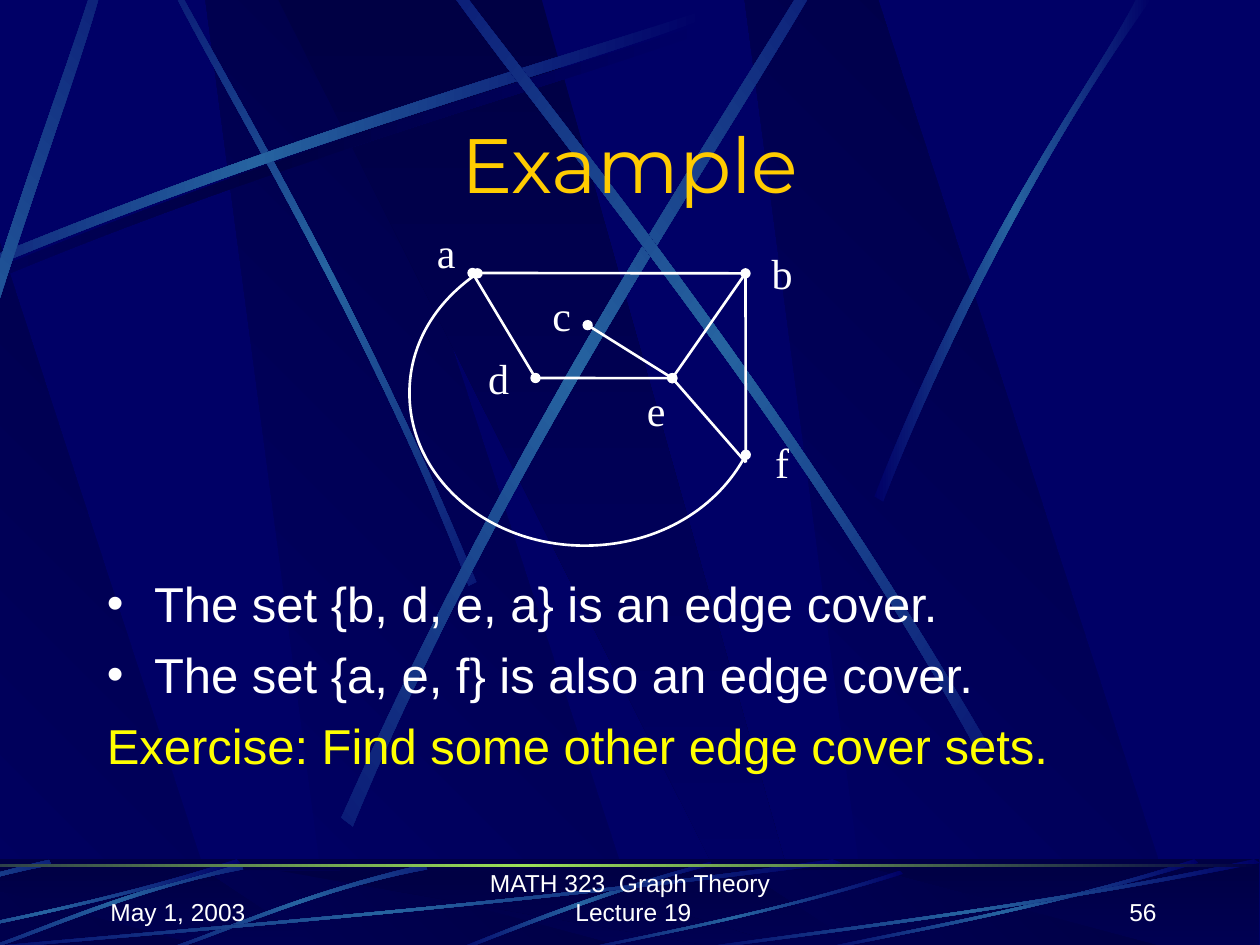
from copy import deepcopy
from math import cos, radians, sin

from pptx import Presentation
from pptx.dml.color import RGBColor
from pptx.enum.shapes import MSO_CONNECTOR, MSO_SHAPE
from pptx.enum.text import MSO_ANCHOR, PP_ALIGN
from pptx.oxml.ns import qn
from pptx.oxml.xmlchemy import OxmlElement
from pptx.util import Pt

NAVY = RGBColor(0x00, 0x00, 0x66)
MIDNIGHT = RGBColor(0x00, 0x00, 0x44)
STEEL = RGBColor(0x26, 0x63, 0xA0)
LIME = RGBColor(0x9C, 0xE1, 0x57)
WHITE = RGBColor(0xFF, 0xFF, 0xFF)
YELLOW = RGBColor(0xFF, 0xFF, 0x00)
GOLD = RGBColor(0xFF, 0xCC, 0x00)

BAND = [(72, 1), (253.4, 1), (76.3, 0), (0, 0)]
WIDE_BAND = [(0, 0), (272.9, 1), (303.8, 1), (150.5, 0)]
BAND_LEFTS = [117.4, -121.7, 425.5]
WIDE_BAND_LEFT = 159.1

LONG_STREAK = [(-109.4, 192.2), (112.3, 90), (313.9, 36), (400.3, 6.5),
               (402.5, 10.8), (318.2, 43.2), (87.1, 102.2), (-107.3, 199.4)]
STREAKS = [
    (45, [(272.2, 332.6), (205.9, 171.4), (127.4, 42.5), (97.2, -15.1),
          (94.3, -14.4), (122.4, 43.9), (213.1, 190.1), (267.8, 334.8)]),
    (0, LONG_STREAK),
    (312, [(-79.2, 460.1), (-40.3, 239), (29.5, 68.4), (53.3, -9.4),
           (58.3, -7.9), (37.4, 71.3), (-43.9, 265), (-72, 464.4)]),
    (321, [(195.1, 467.3), (298.8, 234), (421.2, 56.9), (468.7, -24.5),
           (473.8, -22.3), (429.1, 60.5), (288, 261.4), (201.6, 472.3)]),
    (35, [(564.5, 425.5), (441.4, 213.8), (307.4, 54), (253.4, -19.4),
          (249.1, -16.6), (300.2, 58.3), (455, 239), (558.7, 429.8)]),
    (0, [(499.7, 283.7), (563, 124.6), (625.7, 46.8), (649.4, -0.7),
         (658.1, -0.7), (581.8, 104.4), (525.6, 231.8), (504.7, 286.6)]),
]
FOOTER_STREAK = [(406.1, 492.5), (329.8, 512.6), (280.1, 535.7), (255.6, 544.3),
                 (259.2, 545), (290.2, 532.8), (359.3, 505.4), (406.8, 494.6)]
SHORT_STREAK = [(242.6, 493.9), (175.7, 509), (125.3, 532.1), (101.5, 540),
                (102.2, 541.4), (126, 534.2), (183.6, 507.6), (244.1, 496.8)]
SHORT_SHIFTS = [(0, 0), (-105.1, 0), (-214.6, -2.5)]
SWOOP = [(1, 0.04), (0.57, 0.57), (0.17, 0.85), (0, 1),
         (0, 0.98), (0.17, 0.81), (0.62, 0.51), (0.99, 0)]
SWOOP_BOXES = [(-37.4, 491, 518.4, 54), (-86.4, 491, 224, 54),
               (321.8, 497.5, 194.4, 48.2), (460.8, 491, 224, 54),
               (383.8, 491, 336.2, 54)]

NODES = {"a": (270, 156), "b": (426, 156.2), "c": (335.8, 185.8),
         "d": (306, 216), "e": (384.2, 216.1), "f": (426.2, 264.2)}
EDGES = [("a", "b", True), ("b", "f", False), ("b", "e", False),
         ("e", "f", False), ("e", "d", True), ("d", "a", False), ("e", "c", True)]
ARC = [(272.9, 156.2), (248.4, 172.8), (234, 198), (234, 224.6),
       (234, 272.9), (278.6, 311.8), (334.1, 311.8),
       (373.7, 311.8), (409.7, 291.6), (426.2, 259.9)]
LABELS = {"c": (306, 162), "d": (270, 198), "a": (240, 126),
          "b": (432, 138), "f": (432, 246), "e": (360, 216)}


def fit(points, left, top, width, height):
    return [(left + x * width, top + y * height) for x, y in points]


def turn(x, y, degrees):
    angle = radians(degrees)
    return x * cos(angle) - y * sin(angle), x * sin(angle) + y * cos(angle)


def set_gradient(shape, colours, angle=0):
    shape.shadow.inherit = False
    shape.line.fill.background()
    shape.fill.gradient()
    shape.fill.gradient_angle = angle
    stop_list = shape._element.spPr.find(qn("a:gradFill")).find(qn("a:gsLst"))
    while len(stop_list) < len(colours):
        stop_list.append(deepcopy(stop_list[-1]))
    for index, (stop, colour) in enumerate(zip(shape.fill.gradient_stops, colours)):
        stop.position = index / (len(colours) - 1)
        stop.color.rgb = colour


def add_outline(page, points, closed=True, curve_starts=()):
    corners = [(Pt(x), Pt(y)) for x, y in points]
    builder = page.shapes.build_freeform(*corners[0])
    builder.add_line_segments(corners[1:], close=closed)
    shape = builder.convert_to_shape()
    shape.shadow.inherit = False
    segments = list(shape._element.spPr.iter(qn("a:lnTo")))
    for start in curve_starts:
        curve = OxmlElement("a:cubicBezTo")
        segments[start].addprevious(curve)
        for segment in segments[start:start + 3]:
            curve.append(segment[0])
            segment.getparent().remove(segment)
    return shape


def add_streak(page, controls, rotation=0, shift=(0, 0), glow=STEEL):
    points = [turn(x + shift[0], y + shift[1], -rotation) for x, y in controls]
    shape = add_outline(page, points, curve_starts=(0, 4))
    centre = turn(shape.left + shape.width / 2, shape.top + shape.height / 2, rotation)
    shape.left = round(centre[0] - shape.width / 2)
    shape.top = round(centre[1] - shape.height / 2)
    shape.rotation = rotation
    set_gradient(shape, [NAVY, glow, NAVY])


def add_bands(page, top, height):
    for left in BAND_LEFTS:
        band = add_outline(page, fit(BAND, left, top, 1, height))
        set_gradient(band, [NAVY, MIDNIGHT], 45)
    wide = add_outline(page, fit(WIDE_BAND, WIDE_BAND_LEFT, top, 1, height))
    set_gradient(wide, [MIDNIGHT, NAVY], 270)


def add_bar(page, top, height):
    bar = page.shapes.add_shape(MSO_SHAPE.RECTANGLE, Pt(-121.7), Pt(top), Pt(841), Pt(height))
    bar.shadow.inherit = False
    bar.line.fill.background()
    return bar


def add_veil(page):
    veil = add_bar(page, 491, 54)
    veil.fill.solid()
    veil.fill.fore_color.rgb = MIDNIGHT
    alpha = OxmlElement("a:alpha")
    alpha.set("val", "50000")
    veil._element.spPr.find(qn("a:solidFill"))[0].append(alpha)


def add_backdrop(page):
    page.background.fill.solid()
    page.background.fill.fore_color.rgb = NAVY
    add_bands(page, 0, 543.6)
    add_streak(page, LONG_STREAK, shift=(5, 5.8), glow=MIDNIGHT)
    for rotation, controls in STREAKS:
        add_streak(page, controls, rotation)
    set_gradient(add_bar(page, 491, 54), [MIDNIGHT, NAVY], 270)
    add_bands(page, 497.5, 47.5)
    add_veil(page)
    add_streak(page, FOOTER_STREAK)
    for shift in SHORT_SHIFTS:
        add_streak(page, SHORT_STREAK, 315, shift)
    for box in SWOOP_BOXES:
        add_streak(page, fit(SWOOP, *box))
    set_gradient(add_bar(page, 493.9, 1.6), [MIDNIGHT, LIME, MIDNIGHT])


def set_stroke(shape, dots):
    shape.line.color.rgb = WHITE
    shape.line.width = Pt(1.5)
    if dots:
        for tag in ("a:headEnd", "a:tailEnd"):
            end = OxmlElement(tag)
            end.set("type", "oval")
            shape._element.spPr.find(qn("a:ln")).append(end)


def add_edge(page, start, finish, dots):
    ends = [Pt(value) for value in NODES[start] + NODES[finish]]
    edge = page.shapes.add_connector(MSO_CONNECTOR.STRAIGHT, *ends)
    set_stroke(edge, dots)
    edge._element.spPr.append(OxmlElement("a:effectLst"))


def add_arc(page):
    arc = add_outline(page, ARC, closed=False, curve_starts=(0, 3, 6))
    arc.fill.background()
    set_stroke(arc, True)


def add_text(page, area, lines, size, font, colour=WHITE,
             align=PP_ALIGN.LEFT, anchor=MSO_ANCHOR.TOP):
    box = page.shapes.add_textbox(*[Pt(value) for value in area])
    frame = box.text_frame
    frame.word_wrap = True
    frame.vertical_anchor = anchor
    frame.text = "\n".join(lines)
    for paragraph in frame.paragraphs:
        paragraph.alignment = align
        for span in paragraph.runs:
            span.font.size = Pt(size)
            span.font.name = font
            span.font.color.rgb = colour
    return frame.paragraphs


def add_bullet(paragraph):
    properties = paragraph._p.get_or_add_pPr()
    properties.set("marL", str(Pt(27)))
    properties.set("indent", str(Pt(-27)))
    for tag, name, value in (("a:buSzPct", "val", "97000"),
                             ("a:buFont", "typeface", "Arial"),
                             ("a:buChar", "char", "•")):
        element = OxmlElement(tag)
        element.set(name, value)
        properties.append(element)


def add_statements(page):
    first, second, exercise = add_text(page, (54, 324, 612, 156), [
        "The set {b, d, e, a} is an edge cover.",
        "The set {a, e, f} is also an edge cover.",
        "Exercise: Find some other edge cover sets."], 28, "Arial")
    for paragraph in (first, second):
        add_bullet(paragraph)
    for paragraph in (second, exercise):
        paragraph.space_before = Pt(7)
    exercise.runs[0].font.color.rgb = YELLOW


def add_footer(page):
    for left, width, text, align in (
            (56, 150, "May 1, 2003", PP_ALIGN.LEFT),
            (248, 228, "MATH 323  Graph Theory  Lecture 19", PP_ALIGN.CENTER),
            (518, 150, "56", PP_ALIGN.RIGHT)):
        add_text(page, (left, 497, width, 36), [text], 14, "Arial",
                 align=align, anchor=MSO_ANCHOR.BOTTOM)


def main():
    deck = Presentation()
    deck.slide_width, deck.slide_height = Pt(720), Pt(540)
    page = deck.slides.add_slide(deck.slide_layouts[6])
    add_backdrop(page)
    add_footer(page)
    add_text(page, (54, 63, 612, 60), ["Example"], 44, "Montserrat", GOLD,
             PP_ALIGN.CENTER, MSO_ANCHOR.MIDDLE)
    add_statements(page)
    for edge in EDGES:
        add_edge(page, *edge)
    add_arc(page)
    for name, (left, top) in LABELS.items():
        add_text(page, (left, top, 30, 36), [name], 24, "Times New Roman",
                 align=PP_ALIGN.CENTER)
    deck.save("out.pptx")


if __name__ == "__main__":
    main()
